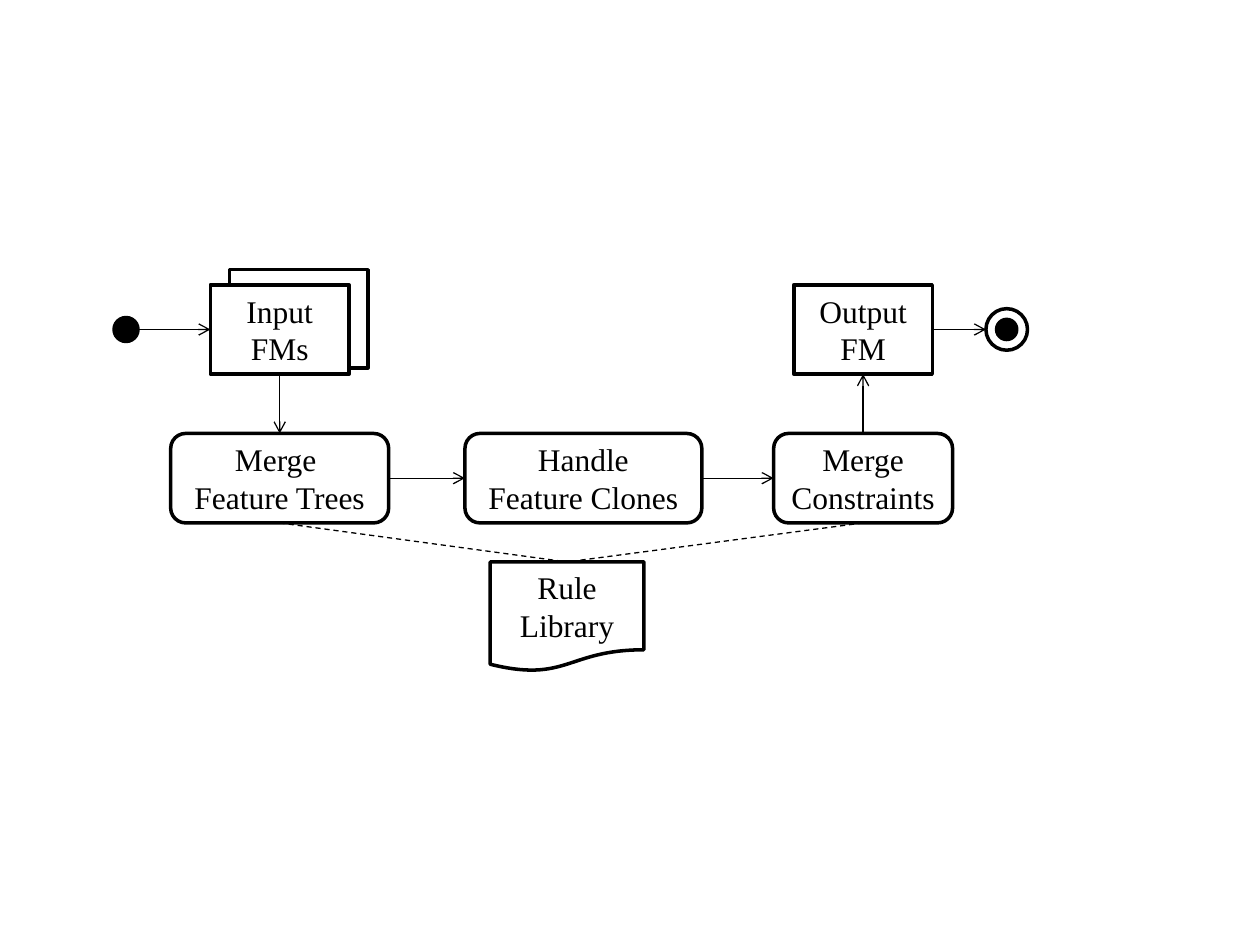
import pptx
import pptx.util
import pptx.dml.color
import pptx.enum.dml
import pptx.enum.shapes
import pptx.enum.text
import pptx.oxml.ns
import lxml.etree

Kind = pptx.enum.shapes.MSO_SHAPE
Rgb = pptx.dml.color.RGBColor
Pt = pptx.util.Pt
qn = pptx.oxml.ns.qn

theme = {
    "ink": Rgb(0, 0, 0),
    "paper": Rgb(255, 255, 255),
    "font": {"name": "Times New Roman", "size": Pt(18)},
    "frame": {
        "word_wrap": True,
        "vertical_anchor": pptx.enum.text.MSO_ANCHOR.MIDDLE,
        "margin_left": pptx.util.Inches(0.08),
        "margin_right": pptx.util.Inches(0.08),
    },
    "edge": {"width": Pt(2)},
    "flow": {"width": Pt(0.75)},
    "dash": {"width": Pt(0.75), "dash_style": pptx.enum.dml.MSO_LINE.DASH},
}

deck = pptx.Presentation()
deck.slide_width = pptx.util.Inches(10)
deck.slide_height = pptx.util.Inches(7.5)
slide = deck.slides.add_slide(deck.slide_layouts[6])
col = deck.slide_width / 100
row = deck.slide_height / 75


def shape(kind, left, top, wide, high, fill, text=""):
    item = slide.shapes.add_shape(
        kind, int(left * col), int(top * row), int(wide * col), int(high * row))
    item.shadow.inherit = False
    if fill is None:
        item.fill.background()
    else:
        item.fill.solid()
        item.fill.fore_color.rgb = fill
    item.line.color.rgb = theme["ink"]
    for key, value in theme["edge"].items():
        setattr(item.line, key, value)
    if text:
        for key, value in theme["frame"].items():
            setattr(item.text_frame, key, value)
        item.text_frame.text = text
        for para in item.text_frame.paragraphs:
            para.alignment = pptx.enum.text.PP_ALIGN.CENTER
            for run in para.runs:
                run.font.color.rgb = theme["ink"]
                for key, value in theme["font"].items():
                    setattr(run.font, key, value)
    return item


def link(start, end, style, arrow):
    spots = []
    for item, side in (start, end):
        across = (0.5, 0, 0.5, 1)[side]
        down = (0, 0.5, 1, 0.5)[side]
        spots += [int(item.left + item.width * across),
                  int(item.top + item.height * down)]
    line = slide.shapes.add_connector(pptx.enum.shapes.MSO_CONNECTOR.STRAIGHT, *spots)
    for (item, side), join in ((start, line.begin_connect), (end, line.end_connect)):
        if item.auto_shape_type != Kind.OVAL:
            join(item, side)
    line.line.color.rgb = theme["ink"]
    for key, value in theme[style].items():
        setattr(line.line, key, value)
    if arrow:
        tail = lxml.etree.SubElement(line.line._get_or_add_ln(), qn("a:tailEnd"))
        tail.set("type", "arrow")
    lxml.etree.SubElement(line._element.spPr, qn("a:effectLst"))


ink, paper = theme["ink"], theme["paper"]
high = 7.1
data, task = 22.6, 34.4
mid = data + high / 2

shape(Kind.RECTANGLE, 18.2, 21.4, 11, 7.8, paper)
source, result = [
    shape(Kind.RECTANGLE, left, data, 11, high, paper, text)
    for left, text in ((16.7, "Input FMs"), (63, "Output FM"))]
trees, clones, rules = [
    shape(Kind.ROUNDED_RECTANGLE, left, task, wide, high, paper, text)
    for left, wide, text in (
        (13.55, 17.3, "Merge \vFeature Trees"),
        (36.9, 18.8, "Handle\vFeature Clones"),
        (61.4, 14.2, "Merge\nConstraints"))]
store = shape(Kind.FLOWCHART_DOCUMENT, 38.9, 44.6, 12.2, 8.7, paper, "Rule Library")
first, core, ring = [
    shape(Kind.OVAL, hub - size / 2, mid - size / 2, size, size, fill)
    for hub, size, fill in ((10, 1.9, ink), (79.9, 1.6, ink), (79.9, 3.3, None))]

for start, end in (
        ((first, 3), (source, 1)),
        ((source, 2), (trees, 0)),
        ((trees, 3), (clones, 1)),
        ((clones, 3), (rules, 1)),
        ((rules, 0), (result, 2)),
        ((result, 3), (ring, 1))):
    link(start, end, "flow", True)
for item in (trees, rules):
    link((item, 2), (store, 0), "dash", False)

deck.save("out.pptx")
